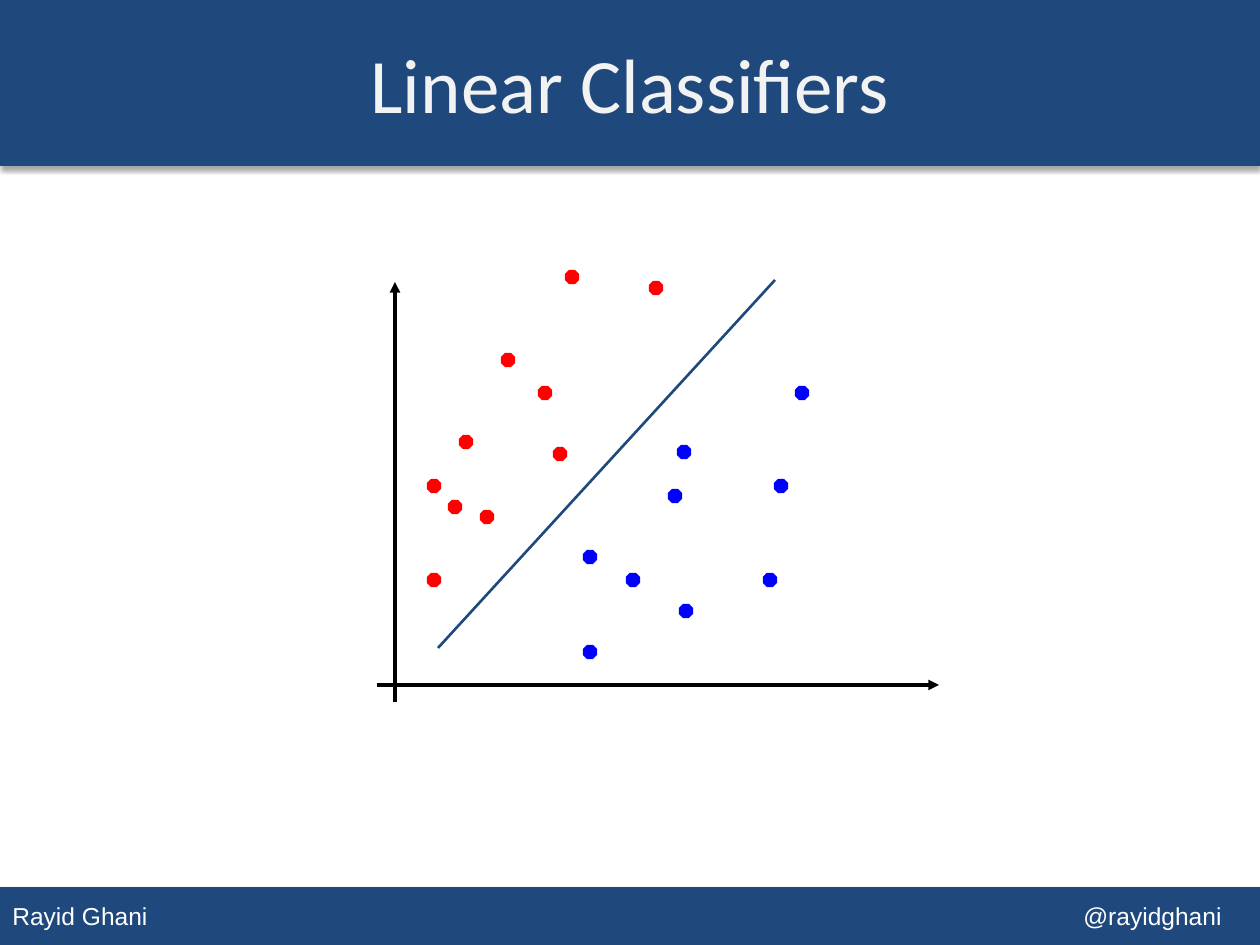
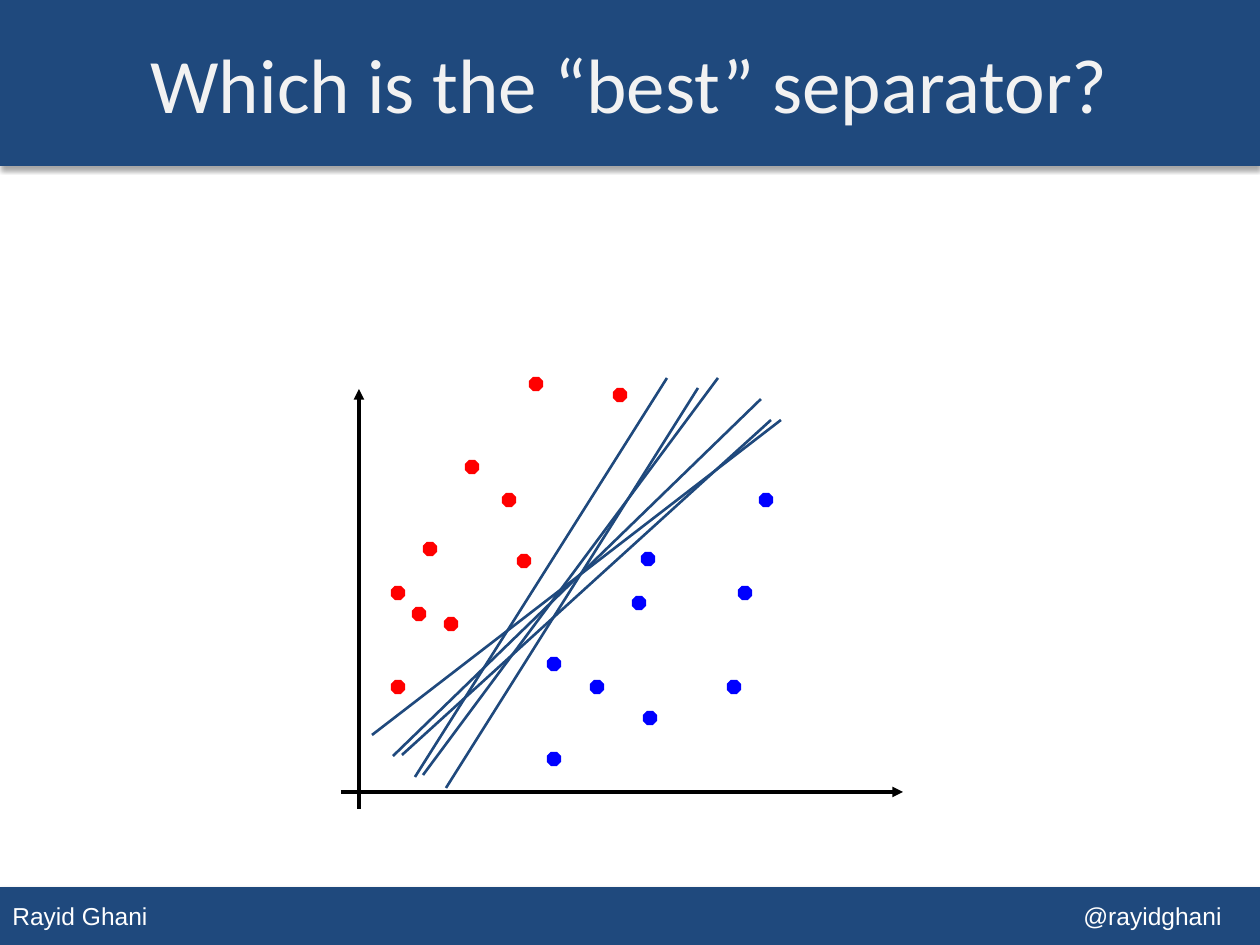
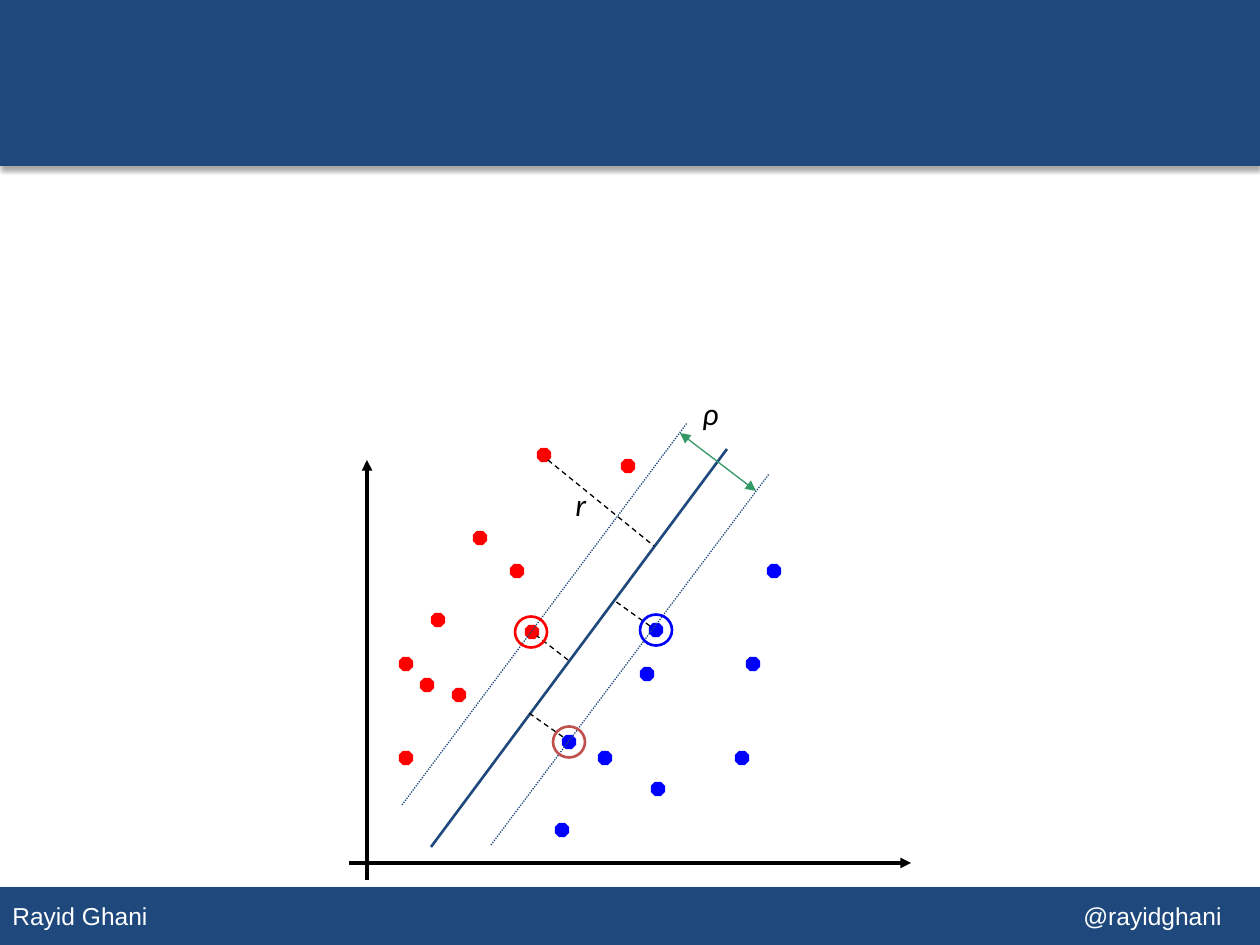
from dataclasses import dataclass

from lxml import etree
from pptx import Presentation
from pptx.dml.color import RGBColor
from pptx.enum.dml import MSO_LINE
from pptx.enum.shapes import MSO_CONNECTOR, MSO_SHAPE
from pptx.enum.text import MSO_ANCHOR, PP_ALIGN
from pptx.oxml.ns import qn
from pptx.util import Pt

RECT, OCTAGON, OVAL = MSO_SHAPE.RECTANGLE, MSO_SHAPE.OCTAGON, MSO_SHAPE.OVAL
STRAIGHT = MSO_CONNECTOR.STRAIGHT
DASH, DOTTED = MSO_LINE.DASH, MSO_LINE.ROUND_DOT
LEFT, CENTER = PP_ALIGN.LEFT, PP_ALIGN.CENTER
TOP, MIDDLE = MSO_ANCHOR.TOP, MSO_ANCHOR.MIDDLE

SCALE = 914400 / 126  # EMU in one pixel
WIDTH, HEIGHT = 1260, 945
DOT = 13


@dataclass(frozen=True)
class Theme:
    navy: str = "1F497D"
    white: str = "FFFFFF"
    title: str = "F2F2F2"
    black: str = "000000"
    red: str = "FF0000"
    blue: str = "0000FF"
    brick: str = "C0504D"
    green: str = "339966"
    heading_font: str = "Calibri"
    footer_font: str = "Arial"
    title_size: int = 44
    label_size: int = 18
    footer_size: int = 14


THEME = Theme()


def emu(pixels):
    return round(pixels * SCALE)


def rgb(code):
    return RGBColor.from_string(code)


def write(shape, text, font=THEME.heading_font, size=THEME.label_size,
          color=THEME.black, italic=False, align=LEFT, anchor=TOP):
    """Put one formatted paragraph in a shape and return it."""
    frame = shape.text_frame
    frame.word_wrap = True
    frame.vertical_anchor = anchor
    para = frame.paragraphs[0]
    para.alignment = align
    span = para.add_run()
    span.text = text
    span.font.name, span.font.size = font, Pt(size)
    span.font.color.rgb, span.font.italic = rgb(color), italic
    return para


class Deck:
    def __init__(self, theme):
        self.theme = theme
        self.file = Presentation()
        self.file.slide_width, self.file.slide_height = emu(WIDTH), emu(HEIGHT)
        self.page = None

    def new_page(self, title=None):
        theme = self.theme
        self.page = self.file.slides.add_slide(self.file.slide_layouts[6])
        footer = self.band(887, 58)
        para = write(footer, "Rayid Ghani\t@rayidghani", font=theme.footer_font,
                     size=theme.footer_size, color=theme.white, anchor=MIDDLE)
        stops = etree.SubElement(para._p.get_or_add_pPr(), qn("a:tabLst"))
        etree.SubElement(stops, qn("a:tab"), pos=str(emu(1071)), algn="l")
        self.band(0, 166)
        if title:
            self.text(0, 4, WIDTH, 158, title, size=theme.title_size,
                      color=theme.title, align=CENTER, anchor=MIDDLE)

    def shape(self, kind, left, top, width, height, fill=None, line=None, weight=0.75):
        shape = self.page.shapes.add_shape(
            kind, emu(left), emu(top), emu(width), emu(height))
        shape.shadow.inherit = False
        if fill:
            shape.fill.solid()
            shape.fill.fore_color.rgb = rgb(fill)
        else:
            shape.fill.background()
        if line:
            shape.line.color.rgb = rgb(line)
            shape.line.width = Pt(weight)
        else:
            shape.line.fill.background()
        return shape

    def band(self, top, height):
        """Full-width navy bar with a soft shadow below it."""
        bar = self.shape(RECT, 0, top, WIDTH, height, fill=self.theme.navy)
        effects = bar._element.spPr.find(qn("a:effectLst"))
        shadow = etree.SubElement(
            effects, qn("a:outerShdw"), blurRad=str(Pt(3.1)), dist=str(Pt(1.8)),
            dir="5400000", rotWithShape="0")
        color = etree.SubElement(shadow, qn("a:srgbClr"), val=self.theme.black)
        etree.SubElement(color, qn("a:alpha"), val="35000")
        return bar

    def text(self, left, top, width, height, words, **style):
        box = self.page.shapes.add_textbox(
            emu(left), emu(top), emu(width), emu(height))
        write(box, words, **style)

    def line(self, x1, y1, x2, y2, color=THEME.navy, weight=1.5, dash=None,
             head=False, tail=False):
        line = self.page.shapes.add_connector(
            STRAIGHT, emu(x1), emu(y1), emu(x2), emu(y2))
        line.line.color.rgb = rgb(color)
        line.line.width = Pt(weight)
        if dash:
            line.line.dash_style = dash
        outline = line.line._get_or_add_ln()
        for end, wanted in (("a:headEnd", head), ("a:tailEnd", tail)):
            if wanted:
                etree.SubElement(outline, qn(end), type="triangle")
        etree.SubElement(line._element.spPr, qn("a:effectLst"))

    def dot(self, x, y, color):
        self.shape(OCTAGON, x - DOT / 2, y - DOT / 2, DOT, DOT, color, color)

    def ring(self, x, y, color):
        self.shape(OVAL, x - 16, y - 15.5, 32, 31, line=color, weight=1.5)

    def scatter(self, x, y, groups):
        """Two axes crossing at (x, y), and dots counted right and up from there."""
        axis = dict(color=self.theme.black, weight=2, tail=True)
        self.line(x, y + 17, x, y - 403, **axis)
        self.line(x - 18, y, x + 544, y, **axis)
        for color, points in groups.items():
            for right, up in points:
                self.dot(x + right, y - up, color)


# Data: offsets from the crossing of the axes
RED_POINTS = [(150, 292), (71, 243), (92, 168), (39, 105), (113, 325),
              (39, 199), (60, 178), (165, 231), (177, 408), (261, 397)]
BLUE_POINTS = [(289, 233), (238, 105), (375, 105), (195, 33), (280, 189),
               (291, 74), (386, 199), (407, 292)]


def classes(nearest_blue):
    return {THEME.red: RED_POINTS, THEME.blue: BLUE_POINTS + [nearest_blue]}


deck = Deck(THEME)

# Slide 1: one separating line
deck.new_page("Linear Classifiers")
deck.scatter(395, 685, classes((195, 128)))
deck.line(438, 648, 775, 280)

# Slide 2: many candidate lines
deck.new_page("Which is the “best” separator?")
deck.scatter(359, 792, classes((195, 128)))
for separator in [(402, 755, 771, 420), (423, 775, 718, 378), (372, 735, 781, 420),
                  (446, 788, 698, 388), (415, 777, 667, 378), (393, 756, 761, 399)]:
    deck.line(*separator)

# Slide 3: margin and support vectors
deck.new_page()
deck.scatter(367, 863, classes((202, 121)))
deck.line(431, 847, 727, 449)
for distance in [(548, 460, 654, 546), (650, 626, 615, 601),
                 (563, 737, 529, 713), (568, 660, 537, 636)]:
    deck.line(*distance, color=THEME.black, weight=0.75, dash=DASH)
for margin in [(491, 845, 769, 474), (402, 805, 687, 423)]:
    deck.line(*margin, weight=0.75, dash=DOTTED)
for x, y, color in [(531, 632, THEME.red), (569, 742, THEME.brick),
                    (656, 630, THEME.blue)]:
    deck.ring(x, y, color)
deck.line(680, 433, 756, 491, color=THEME.green, weight=0.75, head=True, tail=True)
deck.text(563, 479, 68, 63, "r", italic=True)
deck.text(690, 388, 158, 63, "ρ", italic=True)

deck.file.save("out.pptx")
